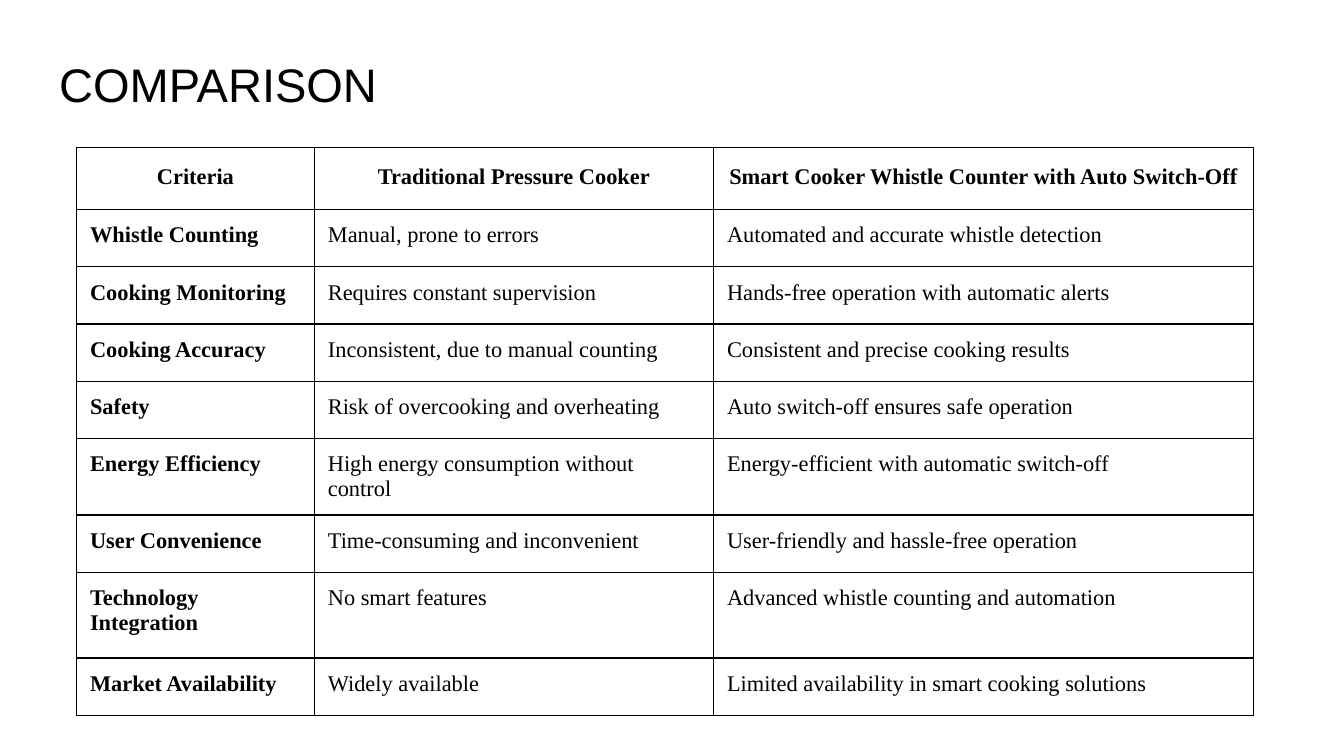
from lxml import etree
from pptx import Presentation
from pptx.dml.color import RGBColor
from pptx.enum.text import MSO_ANCHOR, PP_ALIGN
from pptx.oxml.ns import qn
from pptx.util import Inches, Pt

LEFT, CENTER = PP_ALIGN.LEFT, PP_ALIGN.CENTER
TOP = MSO_ANCHOR.TOP
COLORS = {"ink": "000000", "paper": "FFFFFF"}
TITLE_ONLY = 5
INSET = Inches(0.1)
BORDER_WIDTH = Pt(0.75)

COLUMN_WIDTHS = [Inches(width) for width in (1.77, 2.97, 4.02)]
ROW_HEIGHTS = [Pt(height) for height in [33.1] + [30.65] * 6 + [46, 30.65]]
COMPARISON = [
    ("Criteria", "Traditional Pressure Cooker", "Smart Cooker Whistle Counter with Auto Switch-Off"),
    ("Whistle Counting", "Manual, prone to errors", "Automated and accurate whistle detection"),
    ("Cooking Monitoring", "Requires constant supervision", "Hands-free operation with automatic alerts"),
    ("Cooking Accuracy", "Inconsistent, due to manual counting", "Consistent and precise cooking results"),
    ("Safety", "Risk of overcooking and overheating", "Auto switch-off ensures safe operation"),
    ("Energy Efficiency", "High energy consumption without control", "Energy-efficient with automatic switch-off"),
    ("User Convenience", "Time-consuming and inconvenient", "User-friendly and hassle-free operation"),
    ("Technology Integration", "No smart features", "Advanced whistle counting and automation"),
    ("Market Availability", "Widely available", "Limited availability in smart cooking solutions"),
]


def rgb(name):
    return RGBColor.from_string(COLORS[name])


def set_font(paragraph, family, size, bold=False):
    font = paragraph.font
    font.name, font.size, font.bold = family, Pt(size), bold
    font.color.rgb = rgb("ink")


def set_insets(box):
    box.margin_left = box.margin_right = INSET
    box.margin_top = box.margin_bottom = INSET
    box.vertical_anchor = TOP


def set_borders(cell):
    properties = cell._tc.get_or_add_tcPr()
    for position, side in enumerate(("lnL", "lnR", "lnT", "lnB")):
        line = etree.Element(qn(f"a:{side}"), w=str(BORDER_WIDTH))
        fill = etree.SubElement(line, qn("a:solidFill"))
        etree.SubElement(fill, qn("a:srgbClr"), val=COLORS["ink"])
        properties.insert(position, line)


def add_title(slide, left, top, width, height):
    title = slide.shapes.title
    title.left, title.top = Inches(left), Inches(top)
    title.width, title.height = Inches(width), Inches(height)
    frame = title.text_frame
    frame.text = "COMPARISON"
    set_insets(frame)
    heading = frame.paragraphs[0]
    heading.alignment = LEFT
    set_font(heading, "Arial", 25.2)


def fill_cell(cell, text, is_header, is_criterion):
    cell.text = text
    set_insets(cell)
    cell.fill.background()
    set_borders(cell)
    paragraph = cell.text_frame.paragraphs[0]
    paragraph.alignment = CENTER if is_header else LEFT
    paragraph.line_spacing = 1.15 if is_header else 1.0
    set_font(paragraph, "Times New Roman", 12, is_header or is_criterion)


def add_comparison_table(slide, left, top):
    table = slide.shapes.add_table(
        len(ROW_HEIGHTS), len(COLUMN_WIDTHS), Inches(left), Inches(top),
        sum(COLUMN_WIDTHS), sum(ROW_HEIGHTS)).table
    table.horz_banding = False
    table.first_row = False
    for column, width in zip(table.columns, COLUMN_WIDTHS):
        column.width = width
    for row, height in zip(table.rows, ROW_HEIGHTS):
        row.height = height
    for r, entries in enumerate(COMPARISON):
        for c, text in enumerate(entries):
            fill_cell(table.cell(r, c), text, r == 0, c == 0)


def main():
    presentation = Presentation()
    presentation.slide_width = Inches(10)
    presentation.slide_height = presentation.slide_width * 9 // 16
    slide = presentation.slides.add_slide(presentation.slide_layouts[TITLE_ONLY])
    slide.background.fill.solid()
    slide.background.fill.fore_color.rgb = rgb("paper")
    add_title(slide, 0.34, 0.31, 9.32, 0.63)
    add_comparison_table(slide, 0.57, 1.1)
    presentation.save("out.pptx")


if __name__ == "__main__":
    main()
